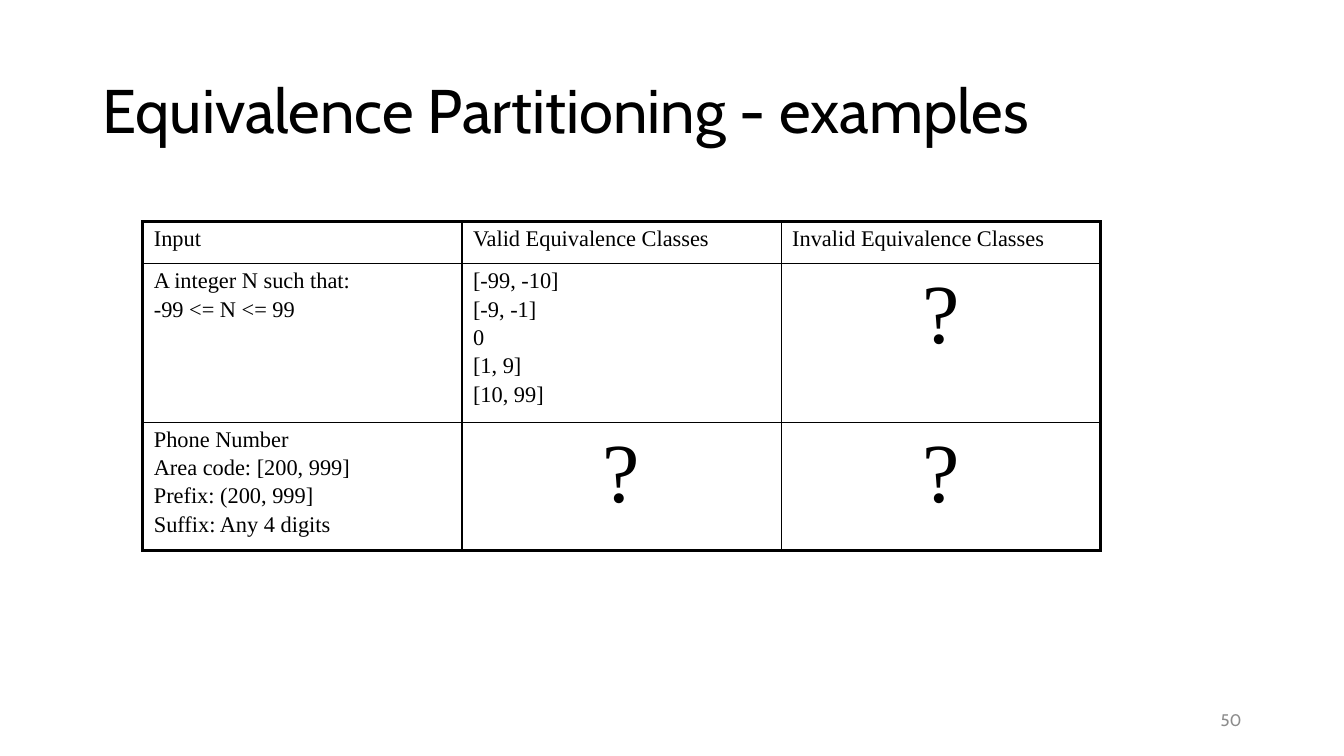
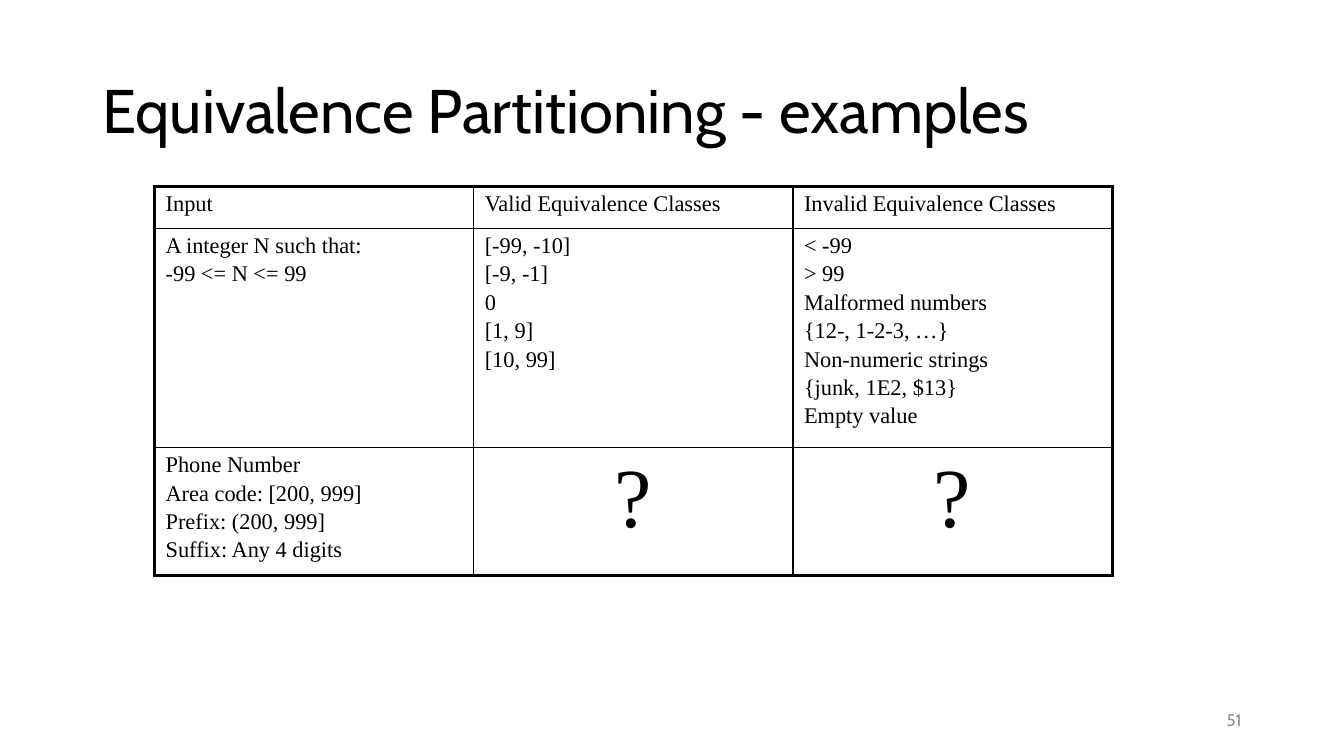
from lxml.etree import SubElement
from pptx import Presentation
from pptx.dml.color import RGBColor
from pptx.enum.text import MSO_ANCHOR, PP_ALIGN
from pptx.oxml.ns import qn
from pptx.util import Inches, Pt

BLACK = RGBColor(0x00, 0x00, 0x00)
GREY = RGBColor(0x8C, 0x8C, 0x8C)
COLUMNS, ROWS = 80, 45
OUTER, INNER = Pt(2.25), Pt(1)

TITLE = "Equivalence Partitioning - examples"
HEADINGS = [["Input"], ["Valid Equivalence Classes"], ["Invalid Equivalence Classes"]]
INTEGER = ["A integer N such that:", "-99 <= N <= 99"]
INTEGER_VALID = ["[-99, -10]", "[-9, -1]", "0", "[1, 9]", "[10, 99]"]
INTEGER_INVALID = [
    "< -99",
    "> 99",
    "Malformed numbers",
    "{12-, 1-2-3, …}",
    "Non-numeric strings",
    "{junk, 1E2, $13}",
    "Empty value",
]
PHONE = ["Phone Number", "Area code: [200, 999]", "Prefix: (200, 999]", "Suffix: Any 4 digits"]
OPEN = ["?"]


class Deck:
    heading_font = "Cabin"
    table_font = "Times New Roman"

    def __init__(self):
        self.presentation = Presentation()
        self.presentation.slide_width = Inches(13.33)
        self.presentation.slide_height = Inches(7.5)
        self.slide = None

    def across(self, columns):
        return round(self.presentation.slide_width * columns / COLUMNS)

    def down(self, rows):
        return round(self.presentation.slide_height * rows / ROWS)

    def style(self, paragraph, font, size, color, align):
        paragraph.alignment = align
        paragraph.font.name = font
        paragraph.font.size = Pt(size)
        paragraph.font.color.rgb = color

    def label(self, text, left, top, width, height, size, color, align):
        box = self.slide.shapes.add_textbox(
            self.across(left), self.down(top), self.across(width), self.down(height)
        )
        frame = box.text_frame
        frame.word_wrap = True
        frame.vertical_anchor = MSO_ANCHOR.MIDDLE
        frame.text = text
        line = frame.paragraphs[0]
        line.line_spacing = 0.9
        self.style(line, self.heading_font, size, color, align)

    def start(self, number):
        self.slide = self.presentation.slides.add_slide(self.presentation.slide_layouts[6])
        self.label(TITLE, 5.5, 2.4, 69, 8.7, 44, BLACK, PP_ALIGN.LEFT)
        self.label(str(number), 56.5, 41.7, 18, 2.4, 12, GREY, PP_ALIGN.RIGHT)

    def borders(self, cell, widths):
        properties = cell._tc.get_or_add_tcPr()
        for side, width in widths.items():
            edge = SubElement(properties, qn(f"a:ln{side}"), w=str(width))
            fill = SubElement(edge, qn("a:solidFill"))
            SubElement(fill, qn("a:srgbClr"), val=str(BLACK))

    def cell(self, cell, lines):
        cell.margin_left = cell.margin_right = Inches(0.11)
        cell.margin_top = cell.margin_bottom = Inches(0.05)
        cell.text = "\n".join(lines)
        size, align = (60, PP_ALIGN.CENTER) if lines == OPEN else (16, PP_ALIGN.LEFT)
        for index, paragraph in enumerate(cell.text_frame.paragraphs):
            if index:
                paragraph.space_before = Pt(2.5)
            self.style(paragraph, self.table_font, size, BLACK, align)

    def table(self, left, top, column, heights, content):
        last_row, last_column = len(content) - 1, len(content[0]) - 1
        table = self.slide.shapes.add_table(
            len(content), len(content[0]),
            self.across(left), self.down(top),
            self.across(column * len(content[0])), self.down(sum(heights)),
        ).table
        table.first_row = table.horz_banding = False
        for table_column in table.columns:
            table_column.width = self.across(column)
        for r, (height, entries) in enumerate(zip(heights, content)):
            table.rows[r].height = self.down(height)
            for c, lines in enumerate(entries):
                cell = table.cell(r, c)
                self.cell(cell, lines)
                self.borders(cell, {
                    "L": OUTER if c == 0 else INNER,
                    "R": OUTER if c == last_column else INNER,
                    "T": OUTER if r == 0 else INNER,
                    "B": OUTER if r == last_row else INNER,
                })
                cell.fill.background()


def main():
    deck = Deck()
    examples = [
        (50, 8.5, 13.2, (2.5, 9.1, 7.6), OPEN),
        (51, 9.2, 11.1, (2.5, 12.6, 7.3), INTEGER_INVALID),
    ]
    for number, left, top, heights, integer_invalid in examples:
        deck.start(number)
        deck.table(left, top, 19, heights, [
            HEADINGS,
            [INTEGER, INTEGER_VALID, integer_invalid],
            [PHONE, OPEN, OPEN],
        ])
    deck.presentation.save("out.pptx")


if __name__ == "__main__":
    main()
